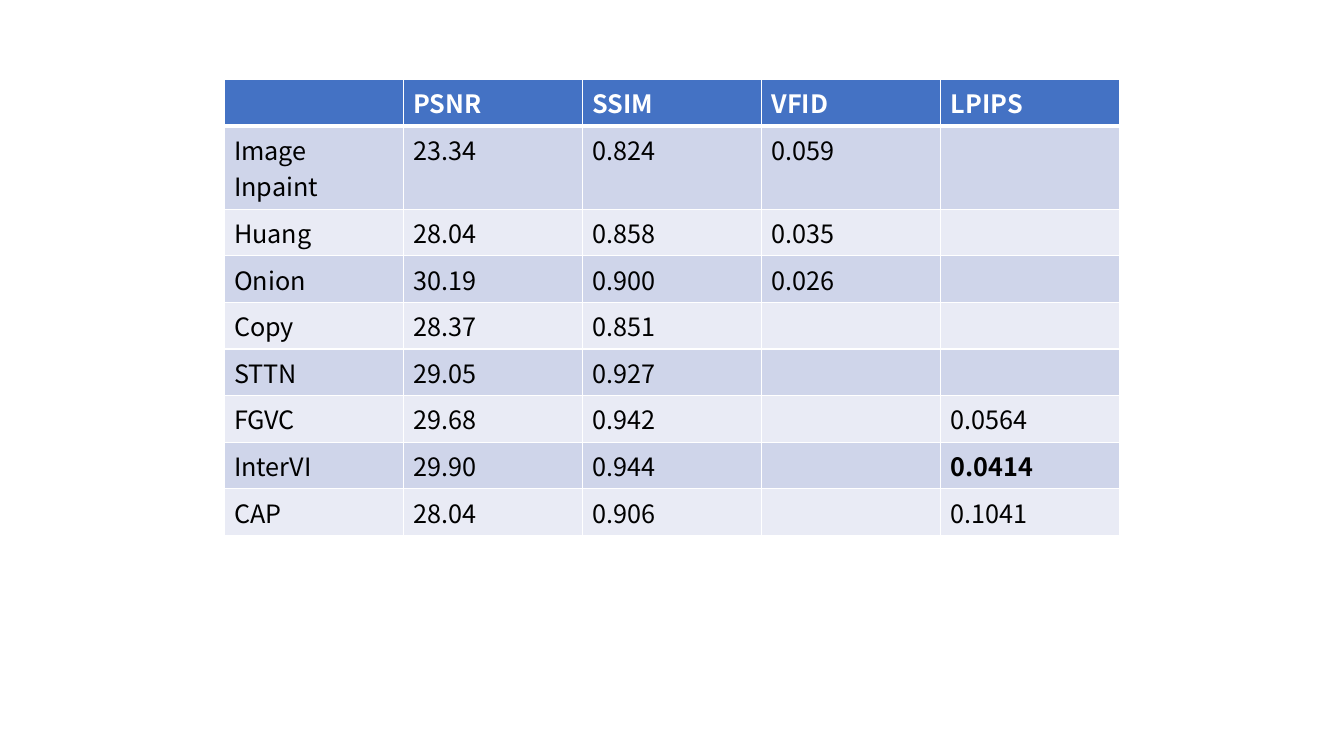
from lxml.etree import SubElement as Sub
from pptx import Presentation as Deck
from pptx.dml.color import RGBColor as Rgb
from pptx.oxml.ns import qn
from pptx.util import Inches, Pt

FONT = "Noto Sans CJK SC"
WHITE, BLACK, BLUE = "FFFFFF", "000000", "4472C4"
BANDS = ["CFD5EA", "E9EBF5"]
HEAD = ["", "PSNR", "SSIM", "VFID", "LPIPS"]
SCORES = [
    ["Image Inpaint", "23.34", "0.824", "0.059", ""],
    ["Huang", "28.04", "0.858", "0.035", ""],
    ["Onion", "30.19", "0.900", "0.026", ""],
    ["Copy", "28.37", "0.851", "", ""],
    ["STTN", "29.05", "0.927", "", ""],
    ["FGVC", "29.68", "0.942", "", "0.0564"],
    ["InterVI", "29.90", "0.944", "", "0.0414"],
    ["CAP", "28.04", "0.906", "", "0.1041"],
]
BEST = "0.0414"


def tint(color, tone):
    color.rgb = Rgb.from_string(tone)


def edge(cell, side, width):
    line = Sub(cell._tc.get_or_add_tcPr(), qn("a:ln" + side), w=str(Pt(width)))
    fill = Sub(line, qn("a:solidFill"))
    Sub(fill, qn("a:srgbClr"), val=WHITE)


def write(cell, text, tone, bold):
    part = cell.text_frame.paragraphs[0]
    if text:
        run = part.add_run()
        run.text = text
        font = run.font
    else:
        font = part.font
    font.name, font.size, font.bold = FONT, Pt(18), bold
    tint(font.color, tone)


def paint(cell, tone, edges):
    for side, width in edges.items():
        edge(cell, side, width)
    cell.fill.solid()
    tint(cell.fill.fore_color, tone)


def grid(slide, left, top, wide, high):
    rows = [HEAD] + SCORES
    frame = slide.shapes.add_table(len(rows), len(HEAD), left, top, wide, high)
    for r, row in enumerate(rows):
        first = r == 0
        tone = BLUE if first else BANDS[(r - 1) % 2]
        edges = {"L": 1, "R": 1, "T": 1, "B": 3} if first else {"L": 1, "R": 1, "B": 1}
        for c, text in enumerate(row):
            cell = frame.table.cell(r, c)
            paint(cell, tone, edges)
            write(cell, text, WHITE if first else BLACK, first or text == BEST)


def main():
    deck = Deck()
    deck.slide_width, deck.slide_height = Inches(13.33), Inches(7.5)
    slide = deck.slides.add_slide(deck.slide_layouts[6])
    wide = deck.slide_width * 2 // 3
    left = (deck.slide_width - wide) // 2
    grid(slide, left, Inches(0.79), wide, Inches(3.65))
    deck.save("out.pptx")


if __name__ == "__main__":
    main()
